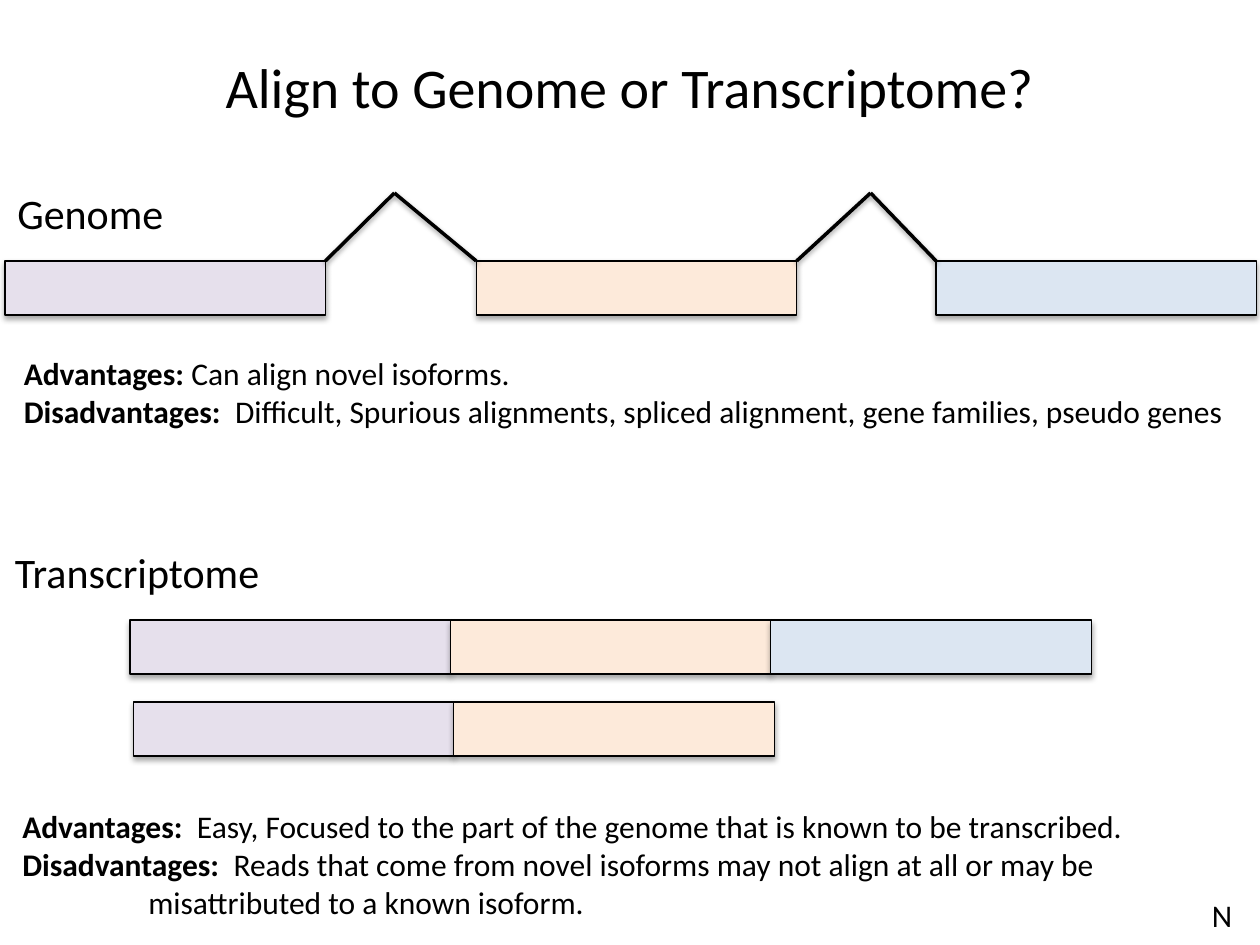
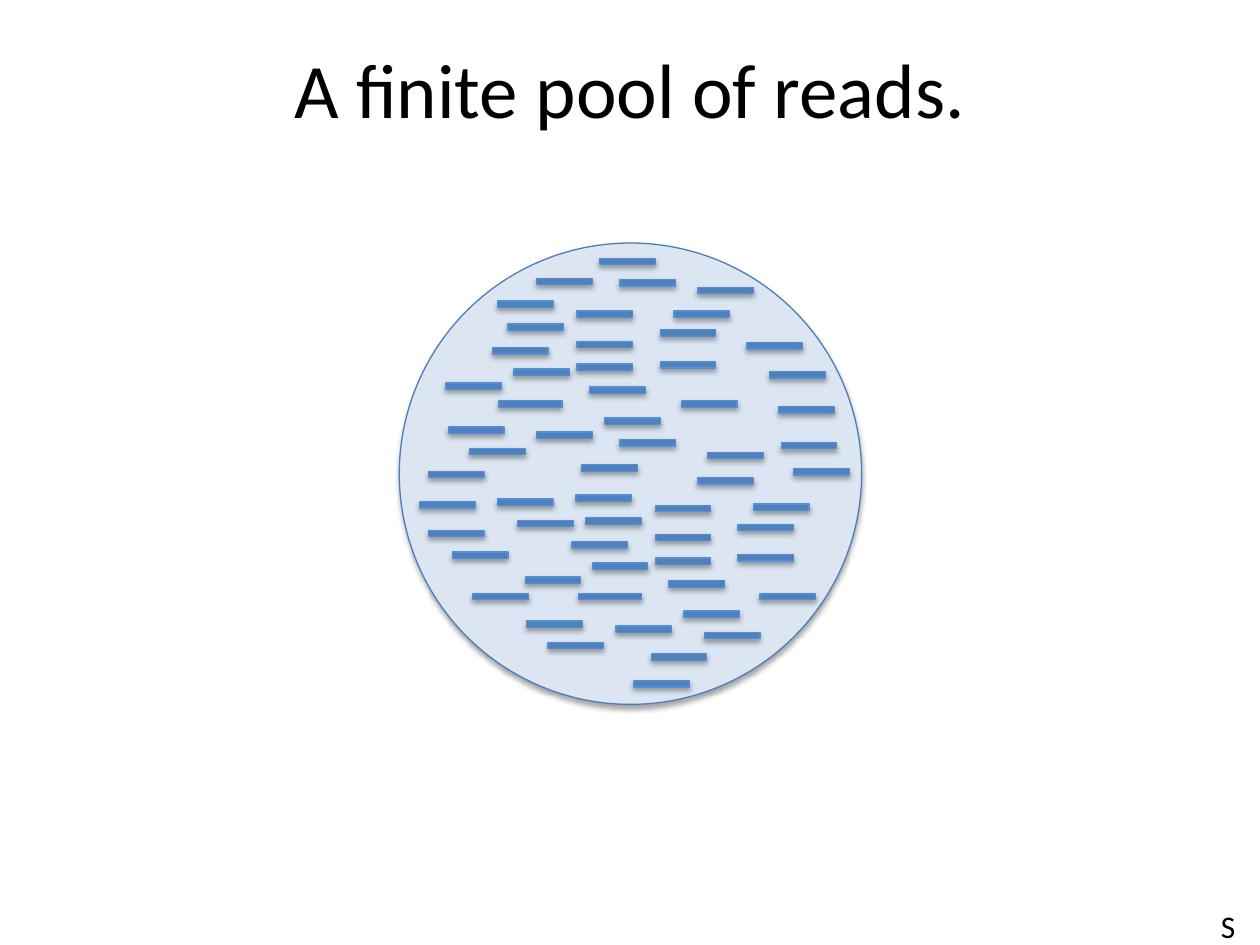
from lxml.etree import SubElement
from pptx import Presentation
from pptx.dml.color import RGBColor
from pptx.enum.shapes import MSO_CONNECTOR, MSO_SHAPE
from pptx.enum.text import MSO_ANCHOR, MSO_AUTO_SIZE, PP_ALIGN
from pptx.oxml.ns import qn
from pptx.util import Cm, Pt

# Shared style
COLORS = {
    "black": "000000",
    "lilac": "E6E0EC",
    "peach": "FDEADA",
    "pale_blue": "DCE6F2",
    "pool_edge": "4B7EBC",
    "read": "4F81BD",
    "read_edge": "558ED5",
}
FONT = "Calibri"
TITLE_LAYOUT = 5
SHAPE_SHADOW = {"alpha": 35, "distance": 1.8}
LINE_SHADOW = {"alpha": 38, "distance": 1.6}

# Exon diagrams, in centimetres
EXON_COLORS = ["lilac", "peach", "pale_blue"]
EXON_WIDTH, EXON_HEIGHT = 6.46, 1.09
GENOME_TOP, GENOME_LEFTS = 5.26, [0.1, 9.6, 18.87]
INTRON_PEAK_TOP, INTRON_PEAKS = 3.89, [7.95, 17.55]
TRANSCRIPTS = [(2.62, 12.5, 3), (2.69, 14.15, 2)]  # left, top, exon count

# Scattered reads, in centimetres: left and top
READ_WIDTH, READ_HEIGHT, LONG_READ_WIDTH = 1.12, 0.13, 1.27
READS = [
    (12.09, 5.21), (10.82, 5.61), (12.5, 5.64), (14.07, 5.79),
    (10.03, 6.07), (11.63, 6.27), (13.59, 6.27), (10.24, 6.53),
    (13.31, 6.65), (11.63, 6.88), (15.06, 6.91), (9.93, 7.01),
    (13.31, 7.29), (11.63, 7.34), (10.36, 7.44), (15.52, 7.49),
    (8.99, 7.72), (11.89, 7.8), (13.74, 8.08), (15.7, 8.2),
    (12.19, 8.43), (9.04, 8.61), (10.82, 8.71), (12.5, 8.86),
    (15.75, 8.92), (9.47, 9.04), (14.27, 9.12), (11.73, 9.37),
    (16, 9.45), (8.64, 9.5), (14.07, 9.63), (11.61, 9.98),
    (10.03, 10.06), (8.46, 10.11), (15.19, 10.16), (13.21, 10.19),
    (11.81, 10.44), (10.44, 10.49), (14.88, 10.57), (8.64, 10.69),
    (13.21, 10.77), (11.53, 10.92), (9.12, 11.13), (14.88, 11.18),
    (13.21, 11.25), (11.94, 11.35), (10.59, 11.63), (13.49, 11.71),
    (9.53, 11.96), (15.32, 11.96), (13.79, 12.32), (10.62, 12.52),
    (12.42, 12.62), (14.2, 12.75), (11.05, 12.95), (13.13, 13.18),
    (12.78, 13.72),
]
LONG_READS = [(10.06, 8.08), (11.66, 11.96)]


def color(name):
    return RGBColor.from_string(COLORS[name])


def set_attributes(target, values):
    for name, value in values.items():
        setattr(target, name, value)


class SlideBuilder:
    """Holds the presentation, its style and the current slide."""

    def __init__(self):
        self.presentation = Presentation()
        set_attributes(self.presentation,
                       {"slide_width": Cm(25.4), "slide_height": Cm(19.05)})
        self.slide = None

    def new_slide(self):
        layout = self.presentation.slide_layouts[TITLE_LAYOUT]
        self.slide = self.presentation.slides.add_slide(layout)

    def group(self):
        return self.slide.shapes.add_group_shape().shapes

    def write_run(self, paragraph, text, size, bold=False):
        run = paragraph.add_run()
        run.text = text
        set_attributes(run.font, {"name": FONT, "size": Pt(size), "bold": bold})
        run.font.color.rgb = color("black")

    def title(self, text, box, size):
        title = self.slide.shapes.title
        edges = ("left", "top", "width", "height")
        set_attributes(title, dict(zip(edges, map(Cm, box))))
        title.text_frame.vertical_anchor = MSO_ANCHOR.MIDDLE
        paragraph = title.text_frame.paragraphs[0]
        paragraph.alignment = PP_ALIGN.CENTER
        self.write_run(paragraph, text, size)

    def text_box(self, paragraphs, box, size=18, wrap=False):
        """Each paragraph is a tuple: bold lead, plain text, indent."""
        frame = self.slide.shapes.add_textbox(*map(Cm, box)).text_frame
        set_attributes(frame, {"word_wrap": wrap,
                               "auto_size": MSO_AUTO_SIZE.SHAPE_TO_FIT_TEXT})
        for index, (lead, text, indent) in enumerate(paragraphs):
            paragraph = frame.add_paragraph() if index else frame.paragraphs[0]
            if lead:
                self.write_run(paragraph, lead, size, bold=True)
            self.write_run(paragraph, text, size)
            if indent:
                paragraph._p.get_or_add_pPr().set("marL", str(Cm(indent)))

    def label(self, text, box, size=18):
        self.text_box([("", text, 0)], box, size)

    def shadow(self, shape, alpha, distance):
        properties = shape._element.spPr
        effects = properties.find(qn("a:effectLst"))
        if effects is None:
            effects = SubElement(properties, qn("a:effectLst"))
        outer = SubElement(effects, qn("a:outerShdw"), {
            "blurRad": str(Pt(3.1)), "dist": str(Pt(distance)),
            "dir": "5400000", "rotWithShape": "0"})
        shade = SubElement(outer, qn("a:srgbClr"), {"val": COLORS["black"]})
        SubElement(shade, qn("a:alpha"), {"val": str(alpha * 1000)})

    def shape(self, group, box, fill, edge, kind=MSO_SHAPE.RECTANGLE):
        shape = group.add_shape(kind, *map(Cm, box))
        shape.shadow.inherit = False
        shape.fill.solid()
        shape.fill.fore_color.rgb = color(fill)
        shape.line.color.rgb = color(edge)
        shape.line.width = Pt(0.75)
        self.shadow(shape, **SHAPE_SHADOW)

    def line(self, group, start, end):
        line = group.add_connector(MSO_CONNECTOR.STRAIGHT,
                                   *map(Cm, start + end))
        line.line.color.rgb = color("black")
        line.line.width = Pt(2)
        self.shadow(line, **LINE_SHADOW)

    def exons(self, group, lefts, top):
        for left, fill in zip(lefts, EXON_COLORS):
            self.shape(group, (left, top, EXON_WIDTH, EXON_HEIGHT),
                       fill, "black")


def build_alignment_slide(builder):
    builder.new_slide()
    builder.title("Align to Genome or Transcriptome?",
                  (0, 0.64, 25.4, 2.18), 32)

    # Transcripts: exons joined end to end
    for left, top, count in TRANSCRIPTS:
        lefts = [left + index * EXON_WIDTH for index in range(count)]
        builder.exons(builder.group(), lefts, top)

    # Genome: exons with an intron peak in each gap
    genome = builder.group()
    builder.exons(genome, GENOME_LEFTS, GENOME_TOP)
    for before, after, peak in zip(GENOME_LEFTS, GENOME_LEFTS[1:],
                                   INTRON_PEAKS):
        top_point = (peak, INTRON_PEAK_TOP)
        builder.line(genome, (before + EXON_WIDTH, GENOME_TOP), top_point)
        builder.line(genome, top_point, (after, GENOME_TOP))

    # Headings and comparison
    builder.label("Genome", (0.1, 3.66, 3.48, 1.27), 24)
    builder.label("Transcriptome", (0.05, 10.9, 5.49, 1.27), 24)
    builder.text_box([
        ("Advantages:", "  Easy, Focused to the part of the genome that is "
         "known to be transcribed.", 0),
        ("Disadvantages:", "  Reads that come from novel isoforms may not "
         "align at all or may be", 0),
        ("", "misattributed to a known isoform.", 2.54),
    ], (0.2, 16.15, 23.95, 2.57), wrap=True)
    builder.text_box([
        ("Advantages: ", "Can align novel isoforms.", 0),
        ("Disadvantages:", "  Difficult, Spurious alignments, spliced "
         "alignment, gene families, pseudo genes", 0),
    ], (0.23, 7.01, 25.12, 1.8), wrap=True)
    builder.label("N", (24.18, 17.93, 0.91, 1.02))


def build_pool_slide(builder):
    builder.new_slide()
    builder.title("A finite pool of reads.", (1.27, 0.18, 22.86, 3.18), 44)

    # Pool with its reads
    pool = builder.group()
    builder.shape(pool, (8.05, 4.9, 9.32, 9.3), "pale_blue", "pool_edge",
                  MSO_SHAPE.OVAL)
    for reads, width in ((READS, READ_WIDTH), (LONG_READS, LONG_READ_WIDTH)):
        for left, top in reads:
            builder.shape(pool, (left, top, width, READ_HEIGHT),
                          "read", "read_edge")
    builder.label("S", (24.36, 18.16, 0.81, 1.02))


def main():
    builder = SlideBuilder()
    build_alignment_slide(builder)
    build_pool_slide(builder)
    builder.presentation.save("out.pptx")


if __name__ == "__main__":
    main()
